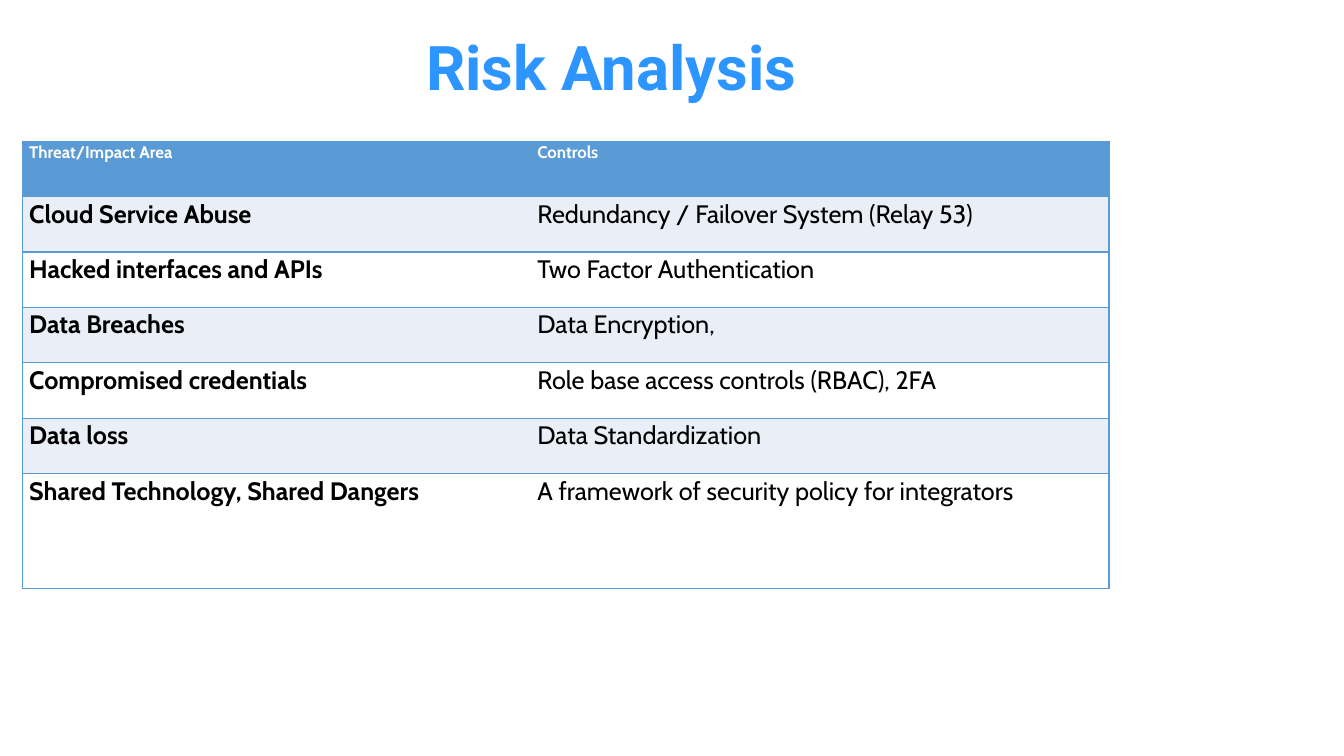
from lxml.etree import SubElement
from pptx import Presentation
from pptx.dml.color import RGBColor
from pptx.enum.text import MSO_ANCHOR, PP_ALIGN
from pptx.oxml.ns import qn
from pptx.util import Inches, Pt

TITLE_BLUE = RGBColor(0x2D, 0x95, 0xFF)
TABLE_BLUE = RGBColor(0x5B, 0x9B, 0xD5)
BAND = RGBColor(0xEA, 0xEF, 0xF7)
WHITE = RGBColor(0xFF, 0xFF, 0xFF)
BLACK = RGBColor(0x00, 0x00, 0x00)

RISKS = [
    ("Threat/Impact Area", "Controls"),
    ("Cloud Service Abuse", "Redundancy / Failover System (Relay 53)"),
    ("Hacked interfaces and APIs", "Two Factor Authentication"),
    ("Data Breaches", "Data Encryption,"),
    ("Compromised credentials", "Role base access controls (RBAC), 2FA"),
    ("Data loss", "Data Standardization"),
    ("Shared Technology, Shared Dangers",
     "A framework of security policy for integrators"),
]
COL_WIDTHS = [5.04, 5.74]
ROW_HEIGHTS = [0.55] * 6 + [1.14]


class RiskSlide:
    title_font = "Roboto"
    table_font = "Cabin"

    def __init__(self, prs):
        self.s = prs.slides.add_slide(prs.slide_layouts[6])

    def set_text(self, tf, text, font, size, color, bold, align, spacing):
        tf.text = text
        p = tf.paragraphs[0]
        p.alignment = align
        p.line_spacing = spacing
        f = p.runs[0].font
        f.name, f.size, f.bold = font, Pt(size), bold
        f.color.rgb = color

    def title(self, text, left, top, width, height):
        sp = self.s.shapes.add_textbox(
            Inches(left), Inches(top), Inches(width), Inches(height))
        tf = sp.text_frame
        tf.word_wrap = True
        tf.vertical_anchor = MSO_ANCHOR.MIDDLE
        self.set_text(tf, text, self.title_font, 44, TITLE_BLUE, True,
                      PP_ALIGN.CENTER, 0.9)

    def borders(self, cell, open_side):
        """Draw every side of the cell except open_side."""
        tc_pr = cell._tc.get_or_add_tcPr()
        for side in ("lnL", "lnR", "lnT", "lnB"):
            ln = SubElement(tc_pr, qn(f"a:{side}"), w=str(Pt(1)))
            if side == open_side:
                SubElement(ln, qn("a:noFill"))
            else:
                fill = SubElement(ln, qn("a:solidFill"))
                SubElement(fill, qn("a:srgbClr"), val=str(TABLE_BLUE))

    def cell(self, cell, text, row, col):
        header = row == 0
        cell.margin_left = cell.margin_right = Inches(0.07)
        cell.margin_top = cell.margin_bottom = 0
        self.set_text(cell.text_frame, text, self.table_font,
                      12 if header else 18, WHITE if header else BLACK,
                      header or col == 0, PP_ALIGN.JUSTIFY, 1.07)
        self.borders(cell, "lnL" if col else "lnR")
        cell.fill.solid()
        cell.fill.fore_color.rgb = (
            TABLE_BLUE if header else BAND if row % 2 else WHITE)

    def table(self, rows, left, top, widths, heights):
        table = self.s.shapes.add_table(
            len(rows), len(widths), Inches(left), Inches(top),
            Inches(sum(widths)), Inches(sum(heights))).table
        for column, width in zip(table.columns, widths):
            column.width = Inches(width)
        for row, height in zip(table.rows, heights):
            row.height = Inches(height)
        for i, texts in enumerate(rows):
            for j, text in enumerate(texts):
                self.cell(table.cell(i, j), text, i, j)


def main():
    prs = Presentation()
    prs.slide_width, prs.slide_height = Inches(13.33), Inches(7.5)
    slide = RiskSlide(prs)
    slide.title("Risk Analysis", 1.35, 0.34, 9.43, 0.71)
    slide.table(RISKS, 0.22, 1.4, COL_WIDTHS, ROW_HEIGHTS)
    prs.save("out.pptx")


if __name__ == "__main__":
    main()
